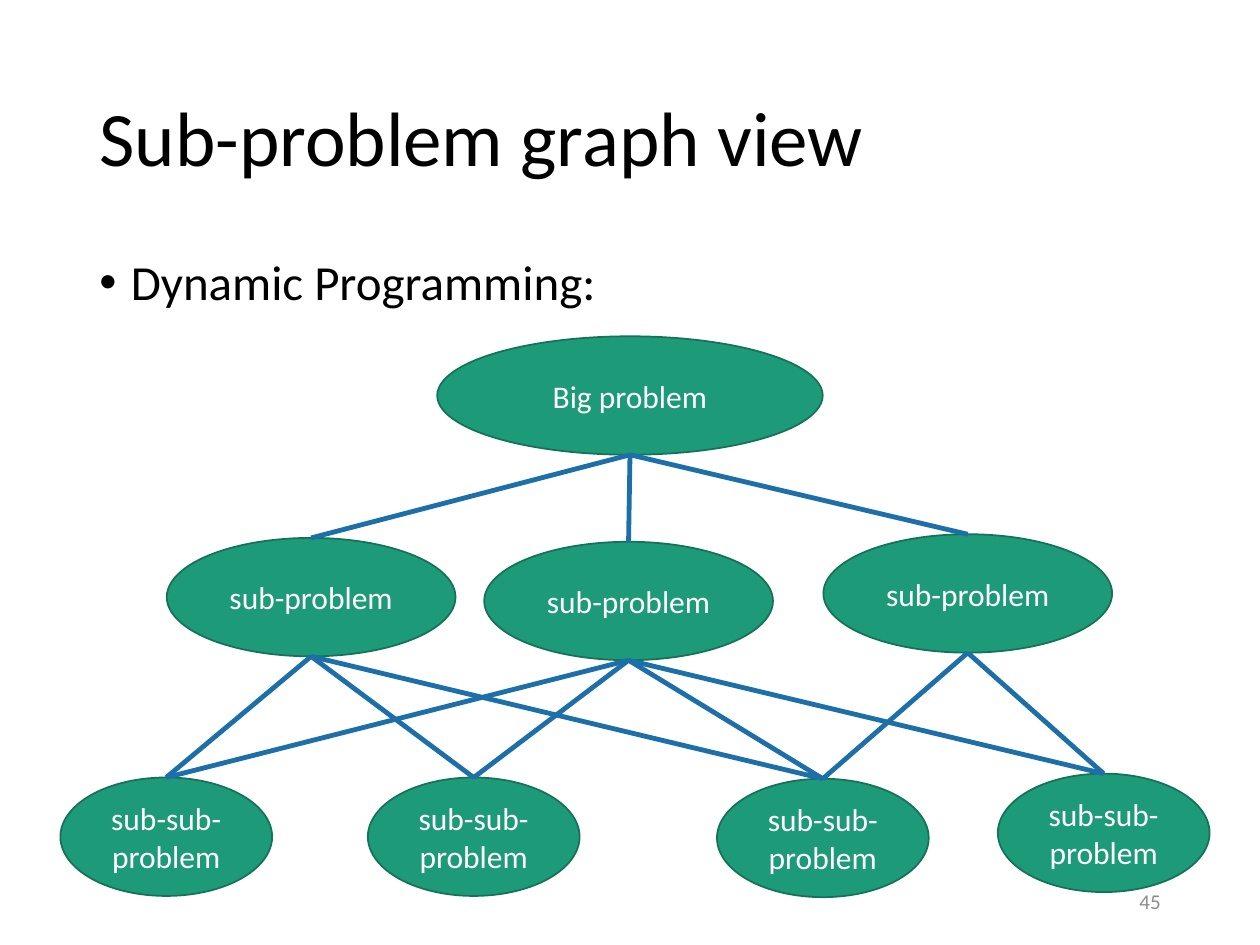
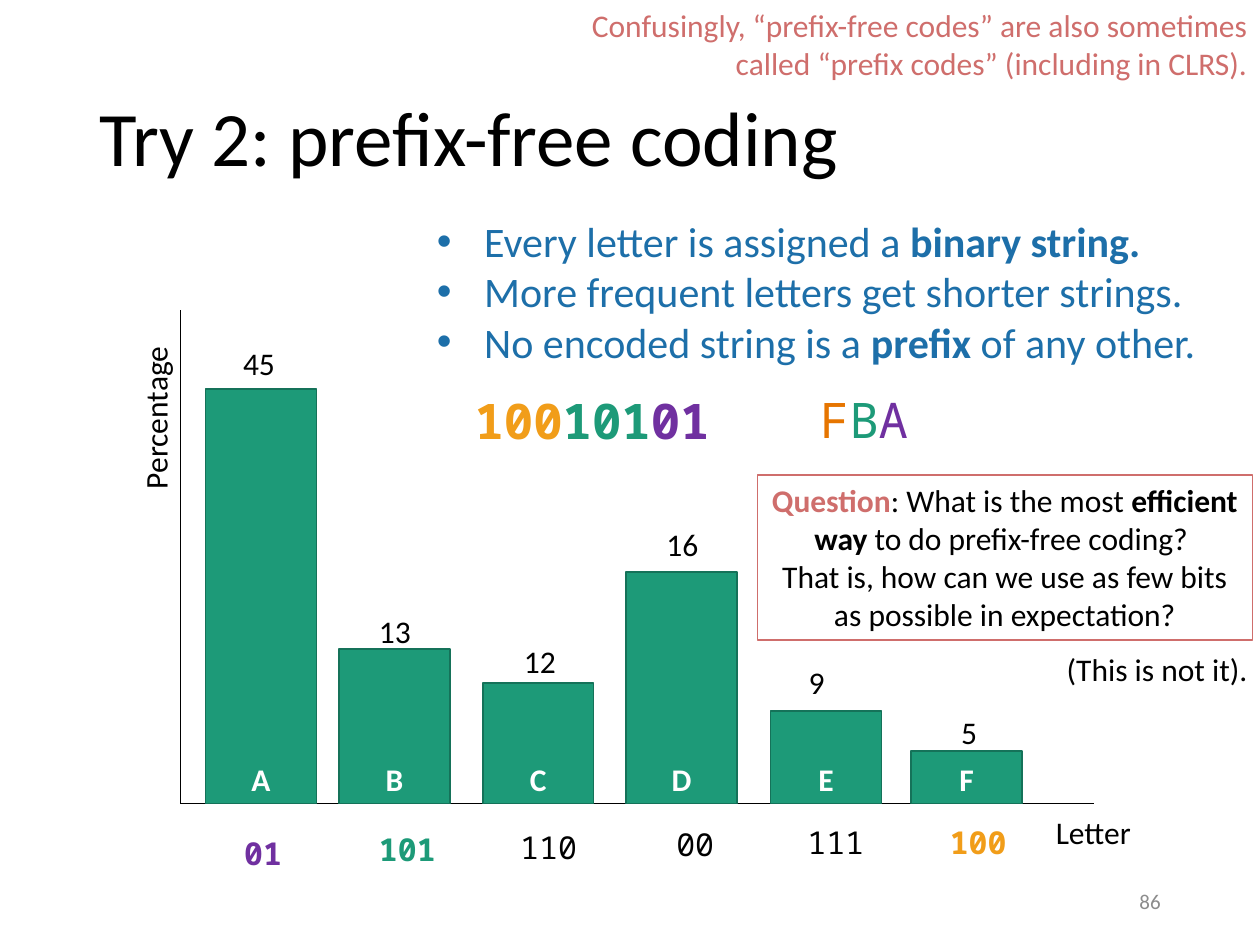
import pptx
import pptx.dml.color
import pptx.enum.shapes
import pptx.enum.text
import pptx.oxml
import pptx.oxml.ns
import pptx.util

Pt = pptx.util.Pt
Align = pptx.enum.text.PP_ALIGN
Anchor = pptx.enum.text.MSO_ANCHOR
Kind = pptx.enum.shapes.MSO_SHAPE

SANS = "Calibri"
MONO = "Noto Sans Mono"
BLACK = "000000"
WHITE = "FFFFFF"
GREEN = "1D9A78"
EDGE = "157259"
BLUE = "1D6FA9"
ROSE = "CF6E6C"
PURPLE = "7030A0"
GOLD = "F19D19"
ORANGE = "E67500"
GREY = "8C8C8C"


def color(code):
    """Turn a hex string into a colour."""
    return pptx.dml.color.RGBColor.from_string(code)


def bullet(para, indent):
    """Give a paragraph a round bullet with a hanging indent."""
    props = para._p.get_or_add_pPr()
    props.set("marL", str(Pt(indent)))
    props.set("indent", str(-Pt(indent)))
    space = pptx.oxml.ns.nsdecls("a")
    for tag in ('buFont %s typeface="Arial"', 'buChar %s char="•"'):
        props.append(pptx.oxml.parse_xml("<a:" + tag % space + "/>"))


def write(shape, paras, size=18, font=SANS, align=Align.LEFT,
          anchor=Anchor.TOP, indent=0, spacing=None):
    """Fill a shape with paragraphs of (text, colour, bold) runs."""
    frame = shape.text_frame
    frame.word_wrap = True
    frame.vertical_anchor = anchor
    for index, runs in enumerate(paras):
        para = frame.add_paragraph() if index else frame.paragraphs[0]
        para.alignment = align
        if indent:
            bullet(para, indent)
        if spacing:
            para.line_spacing = spacing
        for text, code, bold in runs:
            run = para.add_run()
            run.text = text
            run.font.name = font
            run.font.size = Pt(size)
            run.font.bold = bold
            run.font.color.rgb = color(code)


def note(slide, place, paras, **style):
    """Add a text box; a plain string becomes one black run."""
    box = slide.shapes.add_textbox(*map(Pt, place))
    if isinstance(paras, str):
        paras = [[(paras, BLACK, False)]]
    write(box, paras, **style)
    return box


def block(slide, kind, place, text, bold=False, anchor=Anchor.MIDDLE):
    """Add a green shape with a white centred label."""
    shape = slide.shapes.add_shape(kind, *map(Pt, place))
    shape.shadow.inherit = False
    shape.fill.solid()
    shape.fill.fore_color.rgb = color(GREEN)
    shape.line.color.rgb = color(EDGE)
    shape.line.width = Pt(1)
    write(shape, [[(text, WHITE, bold)]], align=Align.CENTER, anchor=anchor)
    return shape


def line(slide, start, end, code, width):
    """Draw a straight line between two points."""
    straight = pptx.enum.shapes.MSO_CONNECTOR.STRAIGHT
    link = slide.shapes.add_connector(straight, *map(Pt, start + end))
    link.line.color.rgb = color(code)
    link.line.width = Pt(width)
    space = pptx.oxml.ns.nsdecls("a")
    link._element.spPr.append(pptx.oxml.parse_xml("<a:effectLst %s/>" % space))


def start(deck, title, number):
    """Add a blank slide with its title and page number."""
    slide = deck.slides.add_slide(deck.slide_layouts[6])
    note(slide, (49.7, 28.8, 620.6, 104.4), title, size=44,
         anchor=Anchor.MIDDLE, spacing=0.9)
    note(slide, (508.3, 500.4, 162, 28.8), [[(number, GREY, False)]], size=12,
         align=Align.RIGHT, anchor=Anchor.MIDDLE)
    return slide


def graph(deck):
    """Build the slide with the graph of sub-problems."""
    slide = start(deck, "Sub-problem graph view", "45")
    note(slide, (49.7, 144, 620.6, 342.7), "Dynamic Programming:",
         size=28, indent=18, spacing=0.9)
    tall = 67.7
    levels = [
        ("Big problem", 220.3, [(360, 192.2)]),
        ("sub-problem", 165, [(177.8, 307.4), (359.2, 309.6), (553, 305.3)]),
        ("sub-sub-problem", 121,
         [(95, 444.3), (270.7, 444.3), (470.2, 445), (630.7, 442.1)]),
    ]
    for text, wide, tops in levels:
        for mid, top in tops:
            block(slide, Kind.OVAL, (mid - wide / 2, top, wide, tall), text)
    links = [[(0, 1, 2)], [(0, 1, 2), (0, 1, 2, 3), (2, 3)]]
    for level, nodes in enumerate(links):
        for node, ends in enumerate(nodes):
            mid, top = levels[level][2][node]
            for end in ends:
                line(slide, (mid, top + tall), levels[level + 1][2][end],
                     BLUE, 2.75)


def bars(slide):
    """Draw the bars with their values, letters and codes."""
    base, wide = 459.2, 63.4
    rows = [
        ("A", 117.4, 222.5, "45", 131.8, 193, "01", 132.5, 473, PURPLE),
        ("B", 193.7, 370.8, "13", 209.5, 346.3, "101", 209.5, 470.9, GREEN),
        ("C", 275.8, 390.2, "12", 292.3, 363.6, "110", 290.2, 469.4, BLACK),
        ("D", 357.8, 326.9, "16", 373.7, 296.6, "00", 379.4, 468, BLACK),
        ("E", 440.3, 406.1, "9", 455, 375.1, "111", 454.3, 466.6, BLACK),
        ("F", 520.6, 429.1, "5", 542.2, 403.9, "100", 535.7, 466.6, GOLD),
    ]
    for letter, left, top, value, vx, vy, code, cx, cy, tint in rows:
        block(slide, Kind.RECTANGLE, (left, top, wide, base - top), letter,
              bold=True, anchor=Anchor.BOTTOM)
        note(slide, (vx, vy, 54.7, 28.8), value)
        note(slide, (cx, cy, 22 * len(code), 28.8),
             [[(code, tint, tint != BLACK)]], font=MONO)


def coding(deck):
    """Build the slide on prefix-free coding."""
    slide = start(deck, "Try 2: prefix-free coding", "86")
    corner = (103, 459.4)
    for end in ((103, 177.1), (625, 459.4)):
        line(slide, corner, end, BLACK, 0.5)
    bars(slide)
    note(slide, (24.5, 208.1, 128.2, 28.8), "Percentage").rotation = 270
    note(slide, (596.2, 460.8, 78.5, 28.8), "Letter")
    note(slide, (242.6, 119.5, 468, 94.3), [
        [("Every letter is assigned a ", BLUE, False),
         ("binary string.", BLUE, True)],
        [("More frequent letters get shorter strings.", BLUE, False)],
        [("No encoded string is a ", BLUE, False), ("prefix ", BLUE, True),
         ("of any other.", BLUE, False)],
    ], size=24, indent=27)
    note(slide, (264.2, 219.6, 393.8, 41), [
        [("100", GOLD, True), ("101", GREEN, True), ("01", PURPLE, True)],
    ], size=28, font=MONO)
    note(slide, (461.5, 218.9, 175.7, 41), [
        [("F", ORANGE, False), ("B", GREEN, False), ("A", PURPLE, False)],
    ], size=28, font=MONO)
    ask = note(slide, (432.7, 271.4, 283, 94.3), [
        [("Question", ROSE, True), (": What is the most ", BLACK, False),
         ("efficient way ", BLACK, True),
         ("to do prefix-free coding? ", BLACK, False)],
        [("That is, how can we use as few bits as possible in expectation?",
          BLACK, False)],
    ], align=Align.CENTER)
    ask.line.color.rgb = color(ROSE)
    ask.line.width = Pt(0.75)
    note(slide, (299.5, 0, 420.5, 51.1), [
        [("Confusingly, “prefix-free codes” are also sometimes called "
          "“prefix codes” (including in CLRS).", ROSE, False)],
    ], align=Align.RIGHT)
    note(slide, (535, 367.9, 185, 28.8), "(This is not it).",
         align=Align.RIGHT)


def main():
    """Build and save the deck."""
    deck = pptx.Presentation()
    deck.slide_width = Pt(720)
    deck.slide_height = Pt(540)
    graph(deck)
    coding(deck)
    deck.save("out.pptx")


if __name__ == "__main__":
    main()
